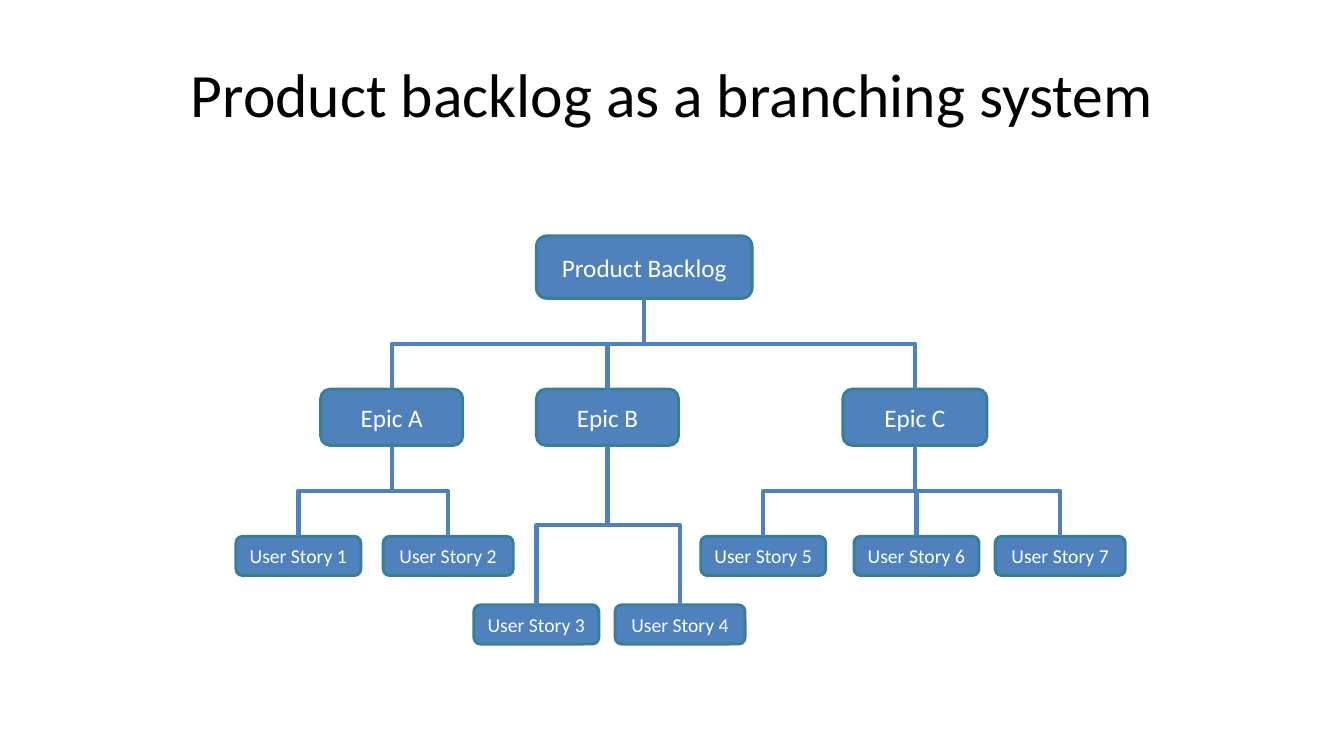
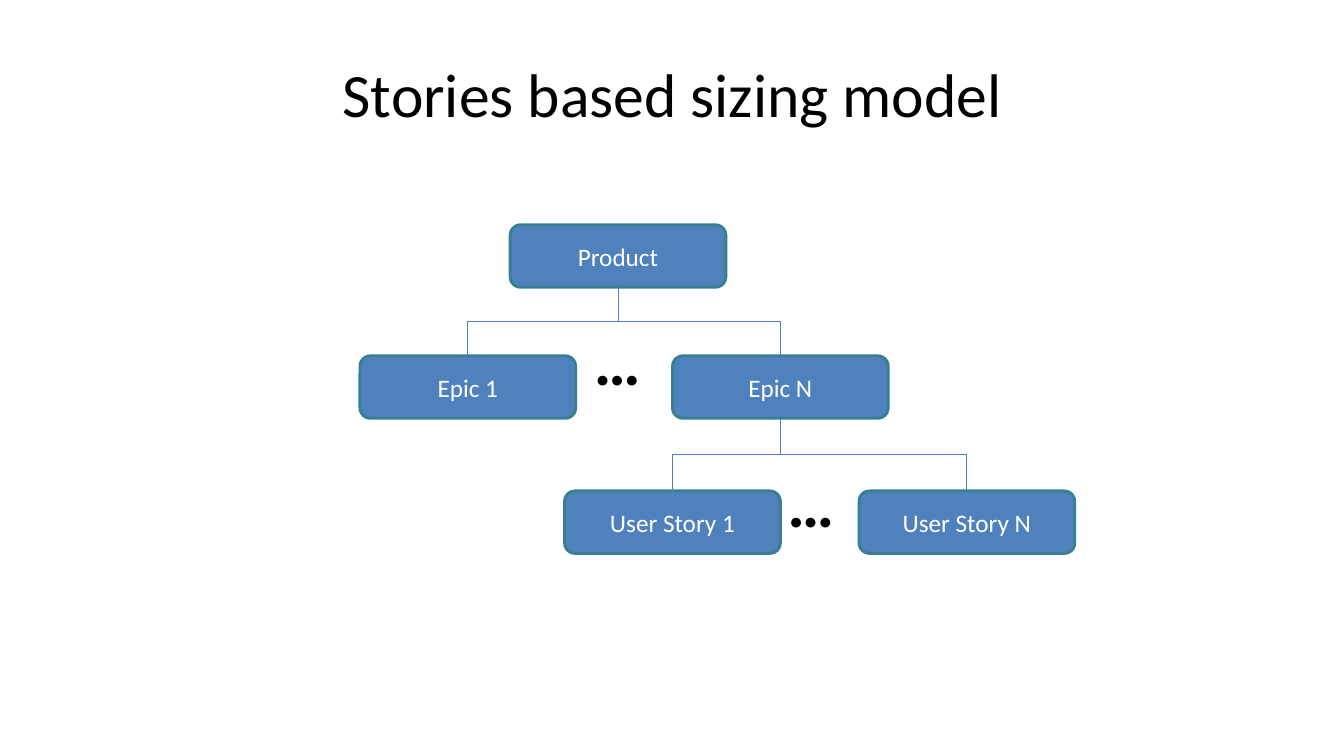
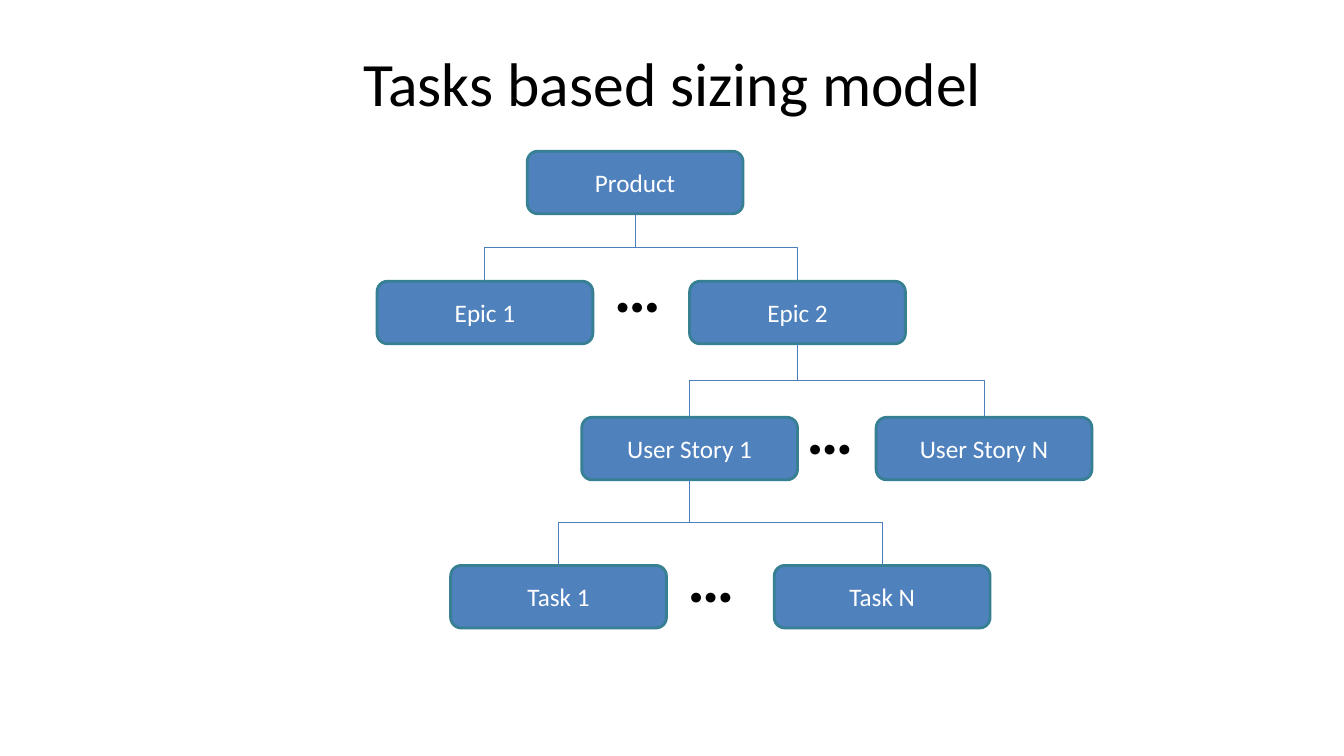
from lxml import etree
from pptx import Presentation
from pptx.dml.color import RGBColor
from pptx.enum.shapes import MSO_CONNECTOR, MSO_SHAPE
from pptx.enum.text import MSO_ANCHOR, MSO_AUTO_SIZE, PP_ALIGN
from pptx.oxml.ns import qn
from pptx.util import Inches, Pt

ROUNDED = MSO_SHAPE.ROUNDED_RECTANGLE
ELBOW = MSO_CONNECTOR.ELBOW
MIDDLE = MSO_ANCHOR.MIDDLE
CENTER = PP_ALIGN.CENTER
FIT_SHAPE = MSO_AUTO_SIZE.SHAPE_TO_FIT_TEXT

FONT = "Calibri"
BLACK = RGBColor(0x00, 0x00, 0x00)
WHITE = RGBColor(0xFF, 0xFF, 0xFF)
BLUE = RGBColor(0x4F, 0x81, 0xBD)
THIN_BLUE = RGBColor(0x4B, 0x7E, 0xBC)
TEAL = RGBColor(0x37, 0x7F, 0x92)

TITLE_ONLY = 5
TOP_SITE, BOTTOM_SITE = 0, 2
BOX_INSETS = (0.07, 0.04)
DEFAULT_INSETS = (0.1, 0.05)
WIDE = 2.14

# Each level holds top, height, text size and boxes: text, parent, left, width.
SLIDES = [
    {
        "title": "Product backlog as a branching system",
        "title_top": 0.3,
        "branch": (BLUE, 3),
        "levels": [
            (2.34, 0.62, 18, [("Product Backlog", None, 5.32, WIDE)]),
            (3.86, 0.56, 18, [
                ("Epic A", "Product Backlog", 3.18, 1.41),
                ("Epic B", "Product Backlog", 5.32, 1.41),
                ("Epic C", "Product Backlog", 8.36, 1.43),
            ]),
            (5.32, 0.39, 14, [
                ("User Story 1", "Epic A", 2.34, 1.24),
                ("User Story 2", "Epic A", 3.8, 1.29),
                ("User Story 5", "Epic C", 6.95, 1.24),
                ("User Story 6", "Epic C", 8.47, 1.24),
                ("User Story 7", "Epic C", 9.87, 1.29),
            ]),
            (6, 0.39, 14, [
                ("User Story 3", "Epic B", 4.7, 1.24),
                ("User Story 4", "Epic B", 6.1, 1.29),
            ]),
        ],
        "dots": [],
    },
    {
        "title": "Stories based sizing model",
        "title_top": 0.3,
        "branch": (THIN_BLUE, 0.75),
        "levels": [
            (2.23, 0.62, 18, [("Product", None, 5.06, WIDE)]),
            (3.53, 0.62, 18, [
                ("Epic 1", "Product", 3.57, WIDE),
                ("Epic N", "Product", 6.67, WIDE),
            ]),
            (4.87, 0.62, 18, [
                ("User Story 1", "Epic N", 5.6, WIDE),
                ("User Story N", "Epic N", 8.52, WIDE),
            ]),
        ],
        "dots": [(5.82, 3.13), (7.74, 4.54)],
        "dots_style": (0.87, 47, BOX_INSETS),
    },
    {
        "title": "Tasks based sizing model",
        "title_top": 0.19,
        "branch": (THIN_BLUE, 0.75),
        "levels": [
            (1.5, 0.62, 18, [("Product", None, 5.23, WIDE)]),
            (2.79, 0.62, 18, [
                ("Epic 1", "Product", 3.74, WIDE),
                ("Epic 2", "Product", 6.84, WIDE),
            ]),
            (4.14, 0.62, 18, [
                ("User Story 1", "Epic 2", 5.77, WIDE),
                ("User Story N", "Epic 2", 8.69, WIDE),
            ]),
            (5.61, 0.62, 18, [
                ("Task 1", "User Story 1", 4.47, WIDE),
                ("Task N", "User Story 1", 7.68, WIDE),
            ]),
        ],
        "dots": [(5.99, 2.4), (7.9, 3.81), (6.72, 5.27)],
        "dots_style": (0.89, 47.1, DEFAULT_INSETS),
    },
]


def write(text_frame, text, size, color, bold=False):
    text_frame.text = text
    font = text_frame.paragraphs[0].runs[0].font
    font.name, font.size, font.bold = FONT, Pt(size), bold
    font.color.rgb = color


def set_insets(text_frame, insets):
    side, edge = insets
    text_frame.margin_left = text_frame.margin_right = Inches(side)
    text_frame.margin_top = text_frame.margin_bottom = Inches(edge)


def place_title(slide, text, top):
    title = slide.shapes.title
    title.left, title.top = Inches(0.67), Inches(top)
    title.width, title.height = Inches(12), Inches(1.25)
    write(title.text_frame, text, 44, BLACK)
    title.text_frame.vertical_anchor = MIDDLE
    title.text_frame.paragraphs[0].alignment = CENTER


def add_box(slide, text, left, top, width, height, size):
    box = slide.shapes.add_shape(
        ROUNDED, Inches(left), Inches(top), Inches(width), Inches(height))
    box.shadow.inherit = False
    box.fill.solid()
    box.fill.fore_color.rgb = BLUE
    box.line.color.rgb = TEAL
    box.line.width = Pt(2)
    write(box.text_frame, text, size, WHITE)
    set_insets(box.text_frame, BOX_INSETS)
    box.text_frame.word_wrap = True
    box.text_frame.vertical_anchor = MIDDLE
    box.text_frame.paragraphs[0].alignment = CENTER
    return box


def add_branch(slide, parent, child, color, weight):
    start_x, start_y = parent.left + parent.width // 2, parent.top + parent.height
    end_x, end_y = child.left + child.width // 2, child.top
    run, drop = end_x - start_x, end_y - start_y
    branch = slide.shapes.add_connector(ELBOW, start_x, start_y, end_x, end_y)
    branch.begin_connect(parent, BOTTOM_SITE)
    branch.end_connect(child, TOP_SITE)
    branch.width, branch.height = drop, abs(run)
    branch.left = (start_x + end_x - drop) // 2
    branch.top = (start_y + end_y - abs(run)) // 2
    properties = branch.element.spPr
    transform = properties.find(qn("a:xfrm"))
    for name in ("flipH", "flipV"):
        transform.attrib.pop(name, None)
    transform.set("rot", "16200000" if run > 0 else "5400000")
    if run > 0:
        transform.set("flipH", "1")
    branch.line.color.rgb = color
    branch.line.width = Pt(weight)
    etree.SubElement(properties, qn("a:effectLst"))


def add_dots(slide, left, top, height, size, insets):
    dots = slide.shapes.add_textbox(
        Inches(left), Inches(top), Inches(0.79), Inches(height))
    write(dots.text_frame, "…", size, BLACK, bold=True)
    set_insets(dots.text_frame, insets)
    dots.text_frame.word_wrap = True
    dots.text_frame.auto_size = FIT_SHAPE


def build_slide(presentation, content):
    slide = presentation.slides.add_slide(presentation.slide_layouts[TITLE_ONLY])
    place_title(slide, content["title"], content["title_top"])
    boxes = {}
    for top, height, size, members in content["levels"]:
        for text, parent, left, width in members:
            boxes[text] = add_box(slide, text, left, top, width, height, size)
            if parent:
                add_branch(slide, boxes[parent], boxes[text], *content["branch"])
    for left, top in content["dots"]:
        add_dots(slide, left, top, *content["dots_style"])


def main():
    presentation = Presentation()
    presentation.slide_width = Inches(13.33)
    presentation.slide_height = Inches(7.5)
    for content in SLIDES:
        build_slide(presentation, content)
    presentation.save("out.pptx")


if __name__ == "__main__":
    main()
